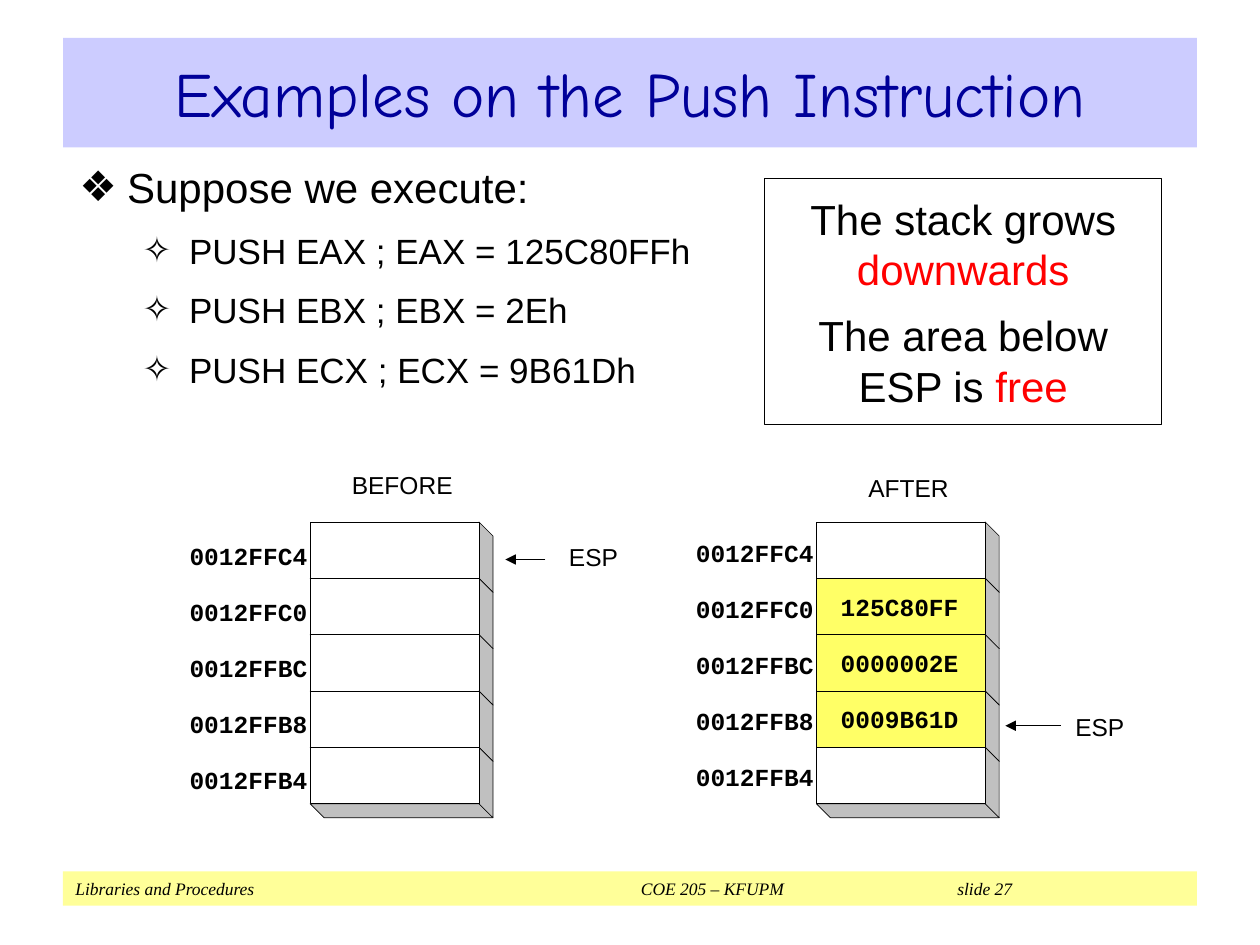
import pptx
import pptx.dml.color
import pptx.enum.shapes
import pptx.enum.text
import pptx.oxml.ns
import pptx.util
from lxml import etree

Pt = pptx.util.Pt
ALIGN = pptx.enum.text.PP_ALIGN
ANCHOR = pptx.enum.text.MSO_ANCHOR
FIT = pptx.enum.text.MSO_AUTO_SIZE
RECTANGLE = pptx.enum.shapes.MSO_SHAPE.RECTANGLE
COLORS = {
    "ink": "000000", "title": "000099", "banner": "CCCCFF", "footer": "FFFF99",
    "alert": "FF0000", "cell": "FFFFFF", "pushed": "FFFF66", "edge": "C0C0C0",
}
ADDRESSES = ["0012FFC4", "0012FFC0", "0012FFBC", "0012FFB8", "0012FFB4"]
CELL_W, CELL_H, DEPTH, LABEL_STEP = 96.5, 32.2, 8, 32


def rgb(name):
    return pptx.dml.color.RGBColor.from_string(COLORS[name])


def add_child(parent, tag, **attributes):
    child = etree.SubElement(parent, pptx.oxml.ns.qn(tag))
    for key, value in attributes.items():
        child.set(key, str(value))
    return child


def place(shape, box):
    shape.left, shape.top, shape.width, shape.height = (Pt(v) for v in box)


def add_run(paragraph, words, size, font="Arial", color="ink", bold=False, italic=False):
    run = paragraph.add_run()
    run.text = words
    run.font.name, run.font.size = font, Pt(size)
    run.font.bold, run.font.italic = bold, italic
    run.font.color.rgb = rgb(color)


def paint(shape, fill=None, line_width=None):
    shape.shadow.inherit = False
    if fill:
        shape.fill.solid()
        shape.fill.fore_color.rgb = rgb(fill)
    else:
        shape.fill.background()
    if line_width:
        shape.line.color.rgb = rgb("ink")
        shape.line.width = Pt(line_width)
    else:
        shape.line.fill.background()


def add_box(shapes, box, fill=None, line_width=None):
    rectangle = shapes.add_shape(RECTANGLE, *(Pt(v) for v in box))
    paint(rectangle, fill, line_width)
    return rectangle


def add_face(shapes, points):
    start, *rest = [(Pt(x), Pt(y)) for x, y in points]
    builder = shapes.build_freeform(*start)
    builder.add_line_segments(rest, close=True)
    paint(builder.convert_to_shape(), "edge", 0.37)


def add_label(shapes, center, top, words, font="Arial", bold=False, width=70):
    label = shapes.add_textbox(Pt(center - width / 2), Pt(top), Pt(width), Pt(16.5))
    frame = label.text_frame
    frame.word_wrap = False
    frame.margin_left = frame.margin_right = frame.margin_top = frame.margin_bottom = 0
    frame.paragraphs[0].alignment = ALIGN.CENTER
    add_run(frame.paragraphs[0], words, 14, font, bold=bold)


def add_arrow(shapes, start, end, y):
    arrow = shapes.add_connector(
        pptx.enum.shapes.MSO_CONNECTOR.STRAIGHT, Pt(start), Pt(y), Pt(end), Pt(y))
    arrow.line.color.rgb = rgb("ink")
    arrow.line.width = Pt(0.75)
    add_child(arrow.line._get_or_add_ln(), "a:tailEnd", type="triangle")
    add_child(arrow._element.spPr, "a:effectLst")


def fill_title(title, box):
    place(title, box)
    title.fill.solid()
    title.fill.fore_color.rgb = rgb("banner")
    frame = title.text_frame
    frame.auto_size = FIT.NONE
    frame.vertical_anchor = ANCHOR.MIDDLE
    frame.paragraphs[0].alignment = ALIGN.CENTER
    add_run(frame.paragraphs[0], "Examples on the Push Instruction", 36, "Comic Neue", "title")


def fill_instructions(body, box):
    place(body, box)
    frame = body.text_frame
    frame.auto_size = FIT.NONE
    items = [
        (0, "Suppose we execute:"),
        (1, "PUSH EAX ; EAX = 125C80FFh"),
        (1, "PUSH EBX ; EBX = 2Eh"),
        (1, "PUSH ECX ; ECX = 9B61Dh"),
    ]
    styles = [("❖", 27.2, -27.2, 24), ("✧", 62.6, -26.6, 20)]
    for index, (level, words) in enumerate(items):
        bullet, margin, indent, size = styles[level]
        item = frame.add_paragraph() if index else frame.paragraphs[0]
        item.level = level
        properties = item._p.get_or_add_pPr()
        properties.set("marL", str(Pt(margin)))
        properties.set("indent", str(Pt(indent)))
        add_child(properties, "a:buChar", char=bullet)
        item.space_before = Pt(10 if index else 0)
        add_run(item, words, size)


def add_note(shapes, box):
    frame = add_box(shapes, box, line_width=0.75).text_frame
    frame.word_wrap = True
    frame.vertical_anchor = ANCHOR.MIDDLE
    remarks = [("The stack grows ", "downwards"), ("The area below ESP is ", "free")]
    for index, (lead, key) in enumerate(remarks):
        remark = frame.add_paragraph() if index else frame.paragraphs[0]
        remark.alignment = ALIGN.CENTER
        remark.space_before = Pt(9 if index else 0)
        add_run(remark, lead, 24)
        add_run(remark, key, 24, color="alert")


def add_stack(slide, left, top, heading, heading_rise, label_drop, pushed, esp_row, esp_drop, arrow):
    shapes = slide.shapes.add_group_shape().shapes
    right = left + CELL_W
    for row, address in enumerate(ADDRESSES):
        upper = top + row * CELL_H
        lower = upper + CELL_H
        add_face(shapes, [(right, lower), (left, lower),
                          (left + DEPTH, lower + DEPTH), (right + DEPTH, lower + DEPTH)])
        add_face(shapes, [(right + DEPTH, lower + DEPTH), (right, lower),
                          (right, upper), (right + DEPTH, upper + DEPTH)])
        add_box(shapes, (left, upper, CELL_W, CELL_H),
                "pushed" if row in pushed else "cell", 0.37)
        label_top = top + row * LABEL_STEP
        add_label(shapes, left - 35.2, label_top + label_drop, address, "Courier New", True)
        if row in pushed:
            add_label(shapes, left + 47.6, label_top + 7.8, pushed[row], "Courier New", True)
    add_label(shapes, left + 52.7, top - heading_rise, heading)
    esp_top = top + esp_row * LABEL_STEP
    add_label(shapes, left + 162, esp_top + esp_drop, "ESP", width=36)
    start, end, drop = arrow
    add_arrow(shapes, left + start, left + end, esp_top + drop)


def add_footer(shapes, box):
    frame = add_box(shapes, box, "footer").text_frame
    frame.word_wrap = True
    line = frame.paragraphs[0]
    line.alignment = ALIGN.LEFT
    tabs = add_child(line._p.get_or_add_pPr(), "a:tabLst")
    for stop in (323.2, 504):
        add_child(tabs, "a:tab", pos=Pt(stop), algn="l")
    for words in ("Libraries and Procedures", "\tCOE 205 – KFUPM", "\tslide 27"):
        add_run(line, words, 10, "Times New Roman", italic=True)


def main():
    deck = pptx.Presentation()
    deck.slide_width, deck.slide_height = Pt(720), Pt(540)
    slide = deck.slides.add_slide(deck.slide_layouts[1])
    add_footer(slide.shapes, (36, 498, 648, 19.5))
    fill_title(slide.shapes.title, (36, 21.6, 648, 62.6))
    fill_instructions(slide.placeholders[1], (38.2, 88.6, 381, 159))
    add_stack(slide, 466.5, 298.3, "AFTER", 28, 9.2,
              {1: "125C80FF", 2: "0000002E", 3: "0009B61D"}, 3, 12.6, (139.7, 108, 20.4))
    add_stack(slide, 177.2, 298.3, "BEFORE", 29.8, 10.8, {}, 0, 11.4, (134.4, 111.6, 21.4))
    add_note(slide.shapes, (437, 102.2, 226.8, 140.4))
    deck.save("out.pptx")


if __name__ == "__main__":
    main()
